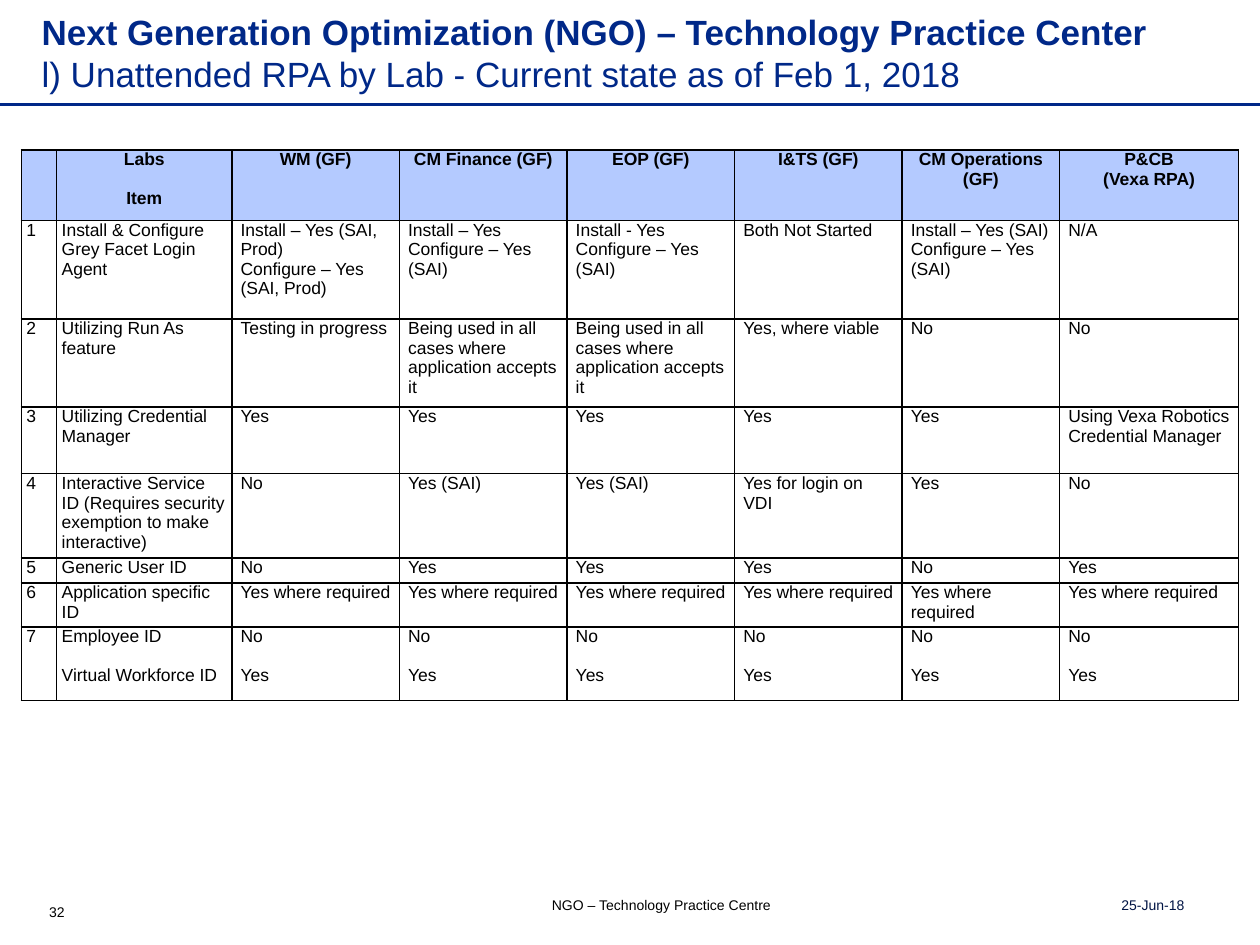
from dataclasses import dataclass

from lxml.etree import SubElement
from pptx import Presentation
from pptx.dml.color import RGBColor
from pptx.enum.shapes import MSO_CONNECTOR
from pptx.enum.text import MSO_ANCHOR, MSO_AUTO_SIZE, PP_ALIGN
from pptx.oxml.ns import qn
from pptx.util import Inches, Pt

NAVY = RGBColor(0x00, 0x28, 0x88)
DARK_NAVY = RGBColor(0x00, 0x14, 0x44)
HEADER_BLUE = RGBColor(0xB4, 0xCA, 0xFF)
BLACK = RGBColor(0x00, 0x00, 0x00)
WHITE = RGBColor(0xFF, 0xFF, 0xFF)

COLUMN_WIDTHS = [0.28, 1.39, 1.33, 1.33, 1.33, 1.33, 1.25, 1.42]
ROW_HEIGHTS = [0.56, 0.78, 0.7, 0.53, 0.62, 0.2, 0.35, 0.58]
ITEM_GAP = Pt(11)  # one line of table text

IN_ALL_CASES = "Being used in all cases where application accepts it"
HEADERS = [
    "", "Labs\nItem", "WM (GF)", "CM Finance (GF)", "EOP (GF)", "I&TS (GF)",
    "CM Operations (GF)", "P&CB\n(Vexa RPA)",
]
ITEMS = [
    ["Install & Configure Grey Facet Login Agent",
     "Install – Yes (SAI, Prod)\nConfigure – Yes (SAI, Prod)",
     "Install – Yes\nConfigure – Yes (SAI)", "Install - Yes\nConfigure – Yes (SAI)",
     "Both Not Started", "Install – Yes (SAI)\nConfigure – Yes (SAI)", "N/A"],
    ["Utilizing Run As feature", "Testing in progress", IN_ALL_CASES, IN_ALL_CASES,
     "Yes, where viable", "No", "No"],
    ["Utilizing Credential Manager", *["Yes"] * 5,
     "Using Vexa Robotics Credential Manager"],
    ["Interactive Service ID (Requires security exemption to make interactive)",
     "No", "Yes (SAI)", "Yes (SAI)", "Yes for login on VDI", "Yes", "No"],
    ["Generic User ID", "No", "Yes", "Yes", "Yes", "No", "Yes"],
    ["Application specific ID", *["Yes where required"] * 6],
    ["Employee ID\nVirtual Workforce ID", *["No\nYes"] * 6],
]


@dataclass
class FooterText:
    text: str
    left: float
    top: float
    width: float
    height: float
    side_inset: float
    align: PP_ALIGN
    color: RGBColor


FOOTER = [
    FooterText("32", 0.39, 7.12, 0.22, 0.19, 0, PP_ALIGN.LEFT, BLACK),
    FooterText("NGO – Technology Practice Centre", 3.04, 7.07, 4.42, 0.24, 0.1,
               PP_ALIGN.CENTER, BLACK),
    FooterText("25-Jun-18", 7.25, 7.07, 2.25, 0.24, 0.1, PP_ALIGN.RIGHT, DARK_NAVY),
]


def format_font(font, size: float, color: RGBColor, bold: bool = False) -> None:
    formats = {"name": "Arial", "size": Pt(size), "bold": bold}
    for name, value in formats.items():
        setattr(font, name, value)
    font.color.rgb = color


def set_margins(target, side: float, top: float = 0) -> None:
    """Set the insets of a text frame or a table cell."""
    margins = {"margin_left": side, "margin_right": side,
               "margin_top": top, "margin_bottom": top}
    for name, value in margins.items():
        setattr(target, name, Inches(value))


def add_title(slide) -> None:
    title = slide.shapes.title
    box = {"left": 0.33, "top": 0.08, "width": 8.92, "height": 0.68}
    for name, value in box.items():
        setattr(title, name, Inches(value))
    frame = title.text_frame
    set_margins(frame, 0)
    frame.word_wrap = True
    frame.auto_size = MSO_AUTO_SIZE.NONE
    frame.vertical_anchor = MSO_ANCHOR.MIDDLE
    paragraph = frame.paragraphs[0]
    paragraph.alignment = PP_ALIGN.LEFT
    heading = paragraph.add_run()
    heading.text = "Next Generation Optimization (NGO) – Technology Practice Center"
    format_font(heading.font, 20, NAVY, bold=True)
    paragraph.add_line_break()
    subheading = paragraph.add_run()
    subheading.text = "l) Unattended RPA by Lab - Current state as of Feb 1, 2018"
    format_font(subheading.font, 20, NAVY)


def add_title_rule(slide) -> None:
    y = Inches(0.83)
    rule = slide.shapes.add_connector(MSO_CONNECTOR.STRAIGHT, 0, y, Inches(10), y)
    rule.line.color.rgb = NAVY
    rule.line.width = Pt(2)
    SubElement(rule._element.spPr, qn("a:effectLst"))


def add_footer_text(slide, item: FooterText) -> None:
    box = slide.shapes.add_textbox(
        *map(Inches, (item.left, item.top, item.width, item.height)))
    frame = box.text_frame
    frame.word_wrap = True
    set_margins(frame, item.side_inset, 0.05)
    paragraph = frame.paragraphs[0]
    paragraph.text = item.text
    paragraph.alignment = item.align
    format_font(paragraph.runs[0].font, 8, item.color)


def add_borders(cell) -> None:
    properties = cell._tc.get_or_add_tcPr()
    for index, side in enumerate(("a:lnL", "a:lnR", "a:lnT", "a:lnB")):
        line = properties.makeelement(qn(side), {"w": str(Pt(1))})
        fill = SubElement(line, qn("a:solidFill"))
        SubElement(fill, qn("a:srgbClr"), val=str(BLACK))
        properties.insert(index, line)


def fill_cell(cell, text: str, header: bool, inset: float, gap: int) -> None:
    cell.fill.solid()
    cell.fill.fore_color.rgb = HEADER_BLUE if header else WHITE
    cell.vertical_anchor = MSO_ANCHOR.TOP
    set_margins(cell, inset)
    cell.text = text
    for index, paragraph in enumerate(cell.text_frame.paragraphs):
        paragraph.alignment = PP_ALIGN.CENTER if header else PP_ALIGN.LEFT
        if index and gap:
            paragraph.space_before = gap
        format_font(paragraph.font, 10, BLACK, bold=header)
        for run in paragraph.runs:
            format_font(run.font, 10, BLACK, bold=header)
    add_borders(cell)


def add_lab_table(slide) -> None:
    rows = [HEADERS] + [[str(number), *item] for number, item in enumerate(ITEMS, 1)]
    frame = slide.shapes.add_table(
        len(rows), len(HEADERS), Inches(0.17), Inches(1.19),
        Inches(sum(COLUMN_WIDTHS)), Inches(sum(ROW_HEIGHTS)))
    table = frame.table
    table.first_row = table.horz_banding = False
    for column, width in zip(table.columns, COLUMN_WIDTHS):
        column.width = Inches(width)
    for row, height in zip(table.rows, ROW_HEIGHTS):
        row.height = Inches(height)
    for r, texts in enumerate(rows):
        for c, text in enumerate(texts):
            header = r == 0
            inset = 0.04 if header or c < 2 else 0.07
            spaced = text == HEADERS[1] or r == len(ITEMS)
            fill_cell(table.cell(r, c), text, header, inset, ITEM_GAP if spaced else 0)


def main() -> None:
    presentation = Presentation()
    presentation.slide_width = Inches(10)
    presentation.slide_height = Inches(7.5)
    slide = presentation.slides.add_slide(presentation.slide_layouts[5])
    add_title_rule(slide)
    for item in FOOTER:
        add_footer_text(slide, item)
    add_title(slide)
    add_lab_table(slide)
    presentation.save("out.pptx")


if __name__ == "__main__":
    main()
